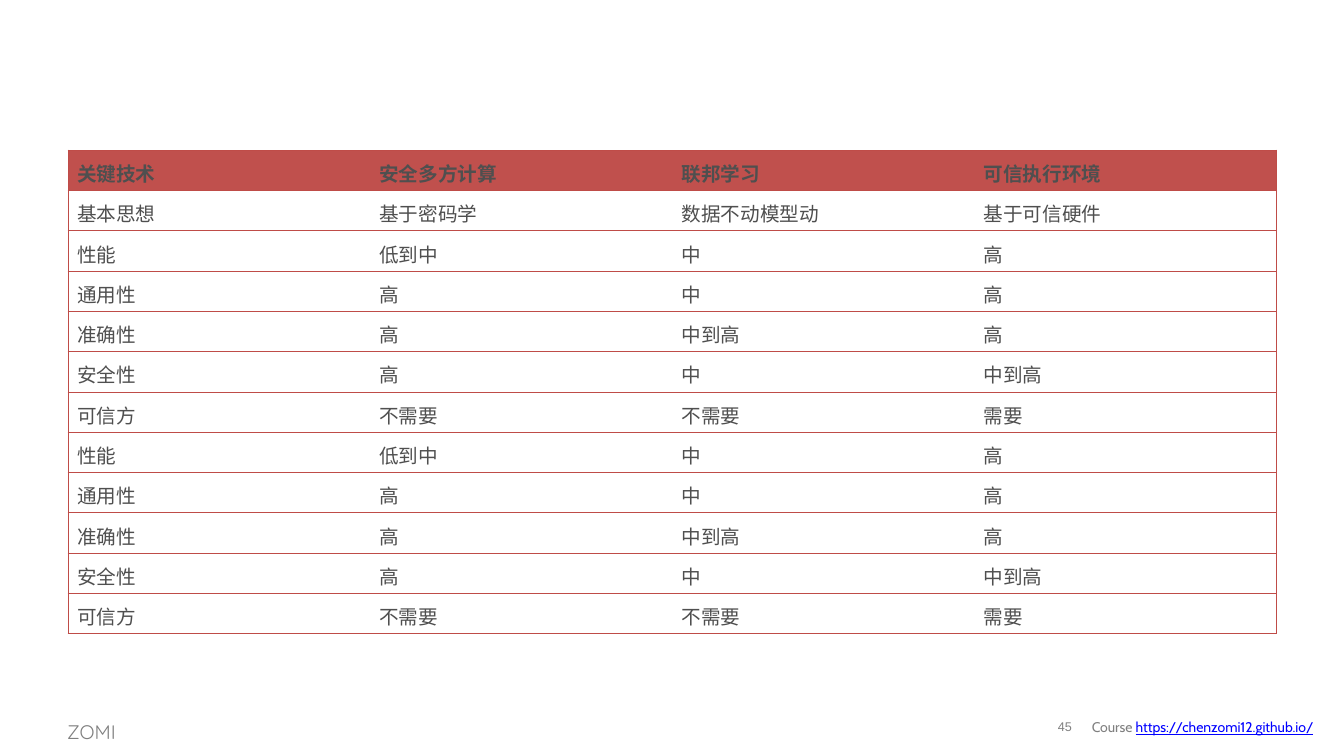
from lxml import etree
from pptx import Presentation
from pptx.dml.color import RGBColor
from pptx.enum.text import MSO_ANCHOR, PP_ALIGN
from pptx.oxml.ns import qn
from pptx.util import Pt

PX = 9080
MIDDLE, TOP = MSO_ANCHOR.MIDDLE, MSO_ANCHOR.TOP
LEFT, CENTER = PP_ALIGN.LEFT, PP_ALIGN.CENTER

RED, HEADER, WHITE = "BF4C48", "C0504D", "FFFFFF"
INK, GREY, BLUE = "4F4F4F", "808080", "0000FF"
CELL_MARGINS = {"left": 9, "right": 8, "top": 8, "bottom": 3}

HEADINGS = ["关键技术", "安全多方计算", "联邦学习", "可信执行环境"]
IDEA = ["基本思想", "基于密码学", "数据不动模型动", "基于可信硬件"]
RATINGS = [
    ["性能", "低到中", "中", "高"],
    ["通用性", "高", "中", "高"],
    ["准确性", "高", "中到高", "高"],
    ["安全性", "高", "中", "中到高"],
    ["可信方", "不需要", "不需要", "需要"],
]
ROWS = [HEADINGS, IDEA] + RATINGS * 2


def px(n):
    return round(n * PX)


def rgb(value):
    return RGBColor.from_string(value)


def add_run(p, text, color, **font):
    r = p.add_run()
    r.text = text
    r.font.color.rgb = rgb(color)
    for name, value in font.items():
        setattr(r.font, name, value)


def add_text(s, box, runs, font, anchor=MIDDLE, align=LEFT, inset=(9, 5), spacing=1.0):
    """Place one line of (text, colour, extra font values) runs in a box."""
    tf = s.shapes.add_textbox(*map(px, box)).text_frame
    side, edge = map(px, inset)
    frame = dict(word_wrap=True, vertical_anchor=anchor, margin_left=side,
                 margin_right=side, margin_top=edge, margin_bottom=edge)
    for name, value in frame.items():
        setattr(tf, name, value)
    p = tf.paragraphs[0]
    p.alignment, p.line_spacing = align, spacing
    for text, color, extra in runs:
        add_run(p, text, color, **font, **extra)


def set_borders(cell, colors):
    """Draw the sides named in colors and hide the others."""
    tcPr = cell._tc.get_or_add_tcPr()
    for side in "LRTB":
        ln = etree.SubElement(tcPr, qn(f"a:ln{side}"), w=str(Pt(0.75)))
        if side in colors:
            fill = etree.SubElement(ln, qn("a:solidFill"))
            etree.SubElement(fill, qn("a:srgbClr"), val=colors[side])
        else:
            etree.SubElement(ln, qn("a:noFill"))


def comparison_table(s, box, rows):
    x, y, w, h = box
    n_cols = len(rows[0])
    table = s.shapes.add_table(len(rows), n_cols, *map(px, box)).table
    table.horz_banding = False
    for column in table.columns:
        column.width = px(w / n_cols)
    for i, texts in enumerate(rows):
        table.rows[i].height = px(h / len(rows))
        for j, text in enumerate(texts):
            cell = table.cell(i, j)
            sides = "TB" + "L" * (j == 0) + "R" * (j == n_cols - 1)
            set_borders(cell, dict.fromkeys(sides, RED))
            cell.fill.solid()
            cell.fill.fore_color.rgb = rgb(WHITE if i else HEADER)
            cell.vertical_anchor = MIDDLE
            for side, margin in CELL_MARGINS.items():
                setattr(cell, f"margin_{side}", px(margin))
            add_run(cell.text_frame.paragraphs[0], text, INK,
                    name="Arial", size=Pt(14), bold=i == 0)


def footer(s, box):
    x, y, w, h = box
    add_text(s, (x, y, 81, h), [("ZOMI", GREY, {})],
             dict(name="Quicksand", size=Pt(14)), anchor=TOP, spacing=1.2)
    add_text(s, (x + w - 284, y + 2, 36, 31), [("45", GREY, {})],
             dict(name="Arial", size=Pt(9)), align=CENTER, inset=(0, 0), spacing=0.85)
    add_text(s, (x + w - 248, y + 2, 248, 30),
             [("Course ", GREY, {}),
              ("https://chenzomi12.github.io/", BLUE, {"underline": True})],
             dict(name="Cabin", size=Pt(10)))


def main():
    prs = Presentation()
    prs.slide_width, prs.slide_height = px(1343), px(755)
    s = prs.slides.add_slide(prs.slide_layouts[6])
    comparison_table(s, (68, 150, 1208, 483), ROWS)
    footer(s, (58, 709, 1272, 36))
    prs.save("out.pptx")


if __name__ == "__main__":
    main()
